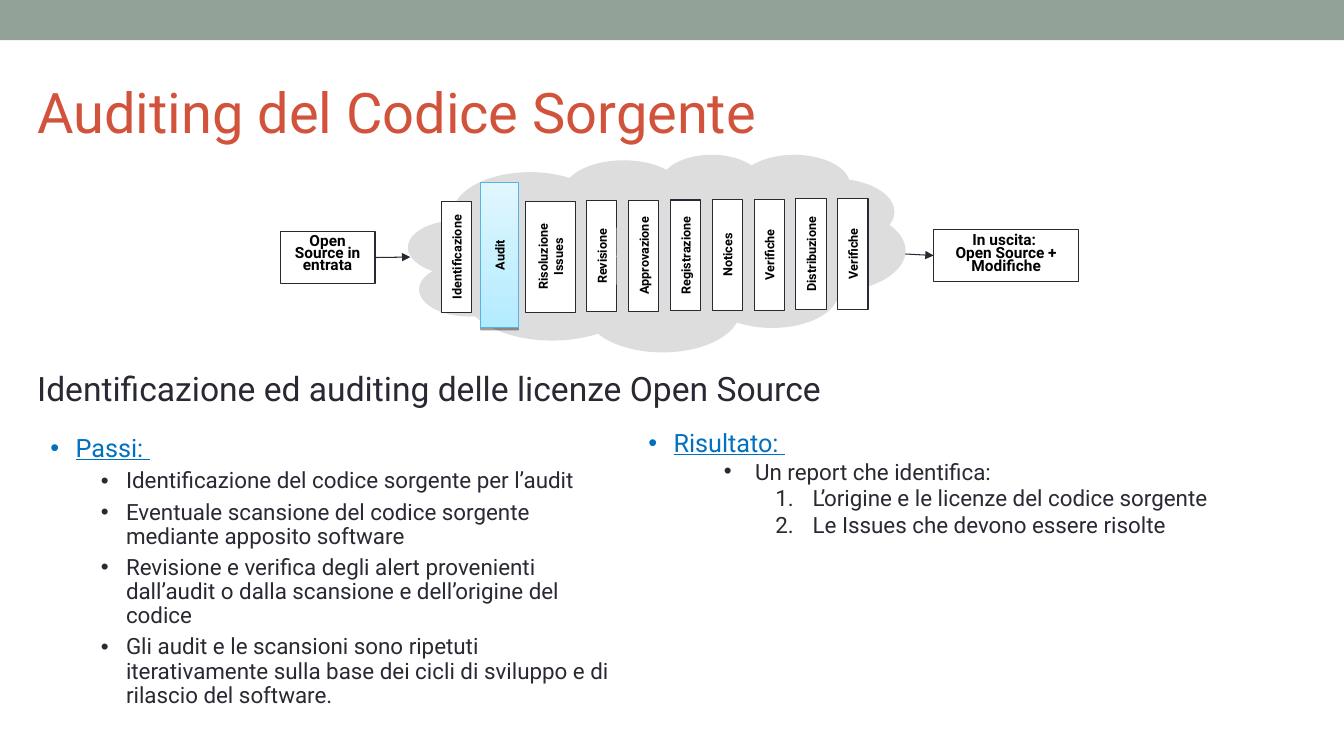
from lxml.etree import SubElement
from pptx import Presentation
from pptx.dml.color import RGBColor
from pptx.enum.shapes import MSO_CONNECTOR, MSO_SHAPE
from pptx.enum.text import MSO_ANCHOR, MSO_AUTO_SIZE, PP_ALIGN
from pptx.oxml.ns import qn
from pptx.util import Inches, Pt

INK, BLUE, BLACK, WHITE = "292934", "0070C0", "000000", "FFFFFF"
HEAD = {"size": Pt(18), "underline": True}
ITEM = {"size": Pt(16), "underline": False}
TAG = {"size": Pt(9), "bold": True}
PORT = {"size": Pt(11), "bold": True}


def color(value):
    return RGBColor.from_string(value)


def put(item, values):
    for name, value in values.items():
        setattr(item, name, value)


def node(parent, tag, **attrs):
    return SubElement(parent, qn(tag), attrs)


def setup(frame, anchor=MSO_ANCHOR.TOP):
    put(frame, {"word_wrap": True, "auto_size": MSO_AUTO_SIZE.NONE,
                "vertical_anchor": anchor,
                "margin_left": Inches(0.1), "margin_right": Inches(0.1),
                "margin_top": Inches(0.05), "margin_bottom": Inches(0.05)})


def write(para, text, tint, style, **layout):
    run = para.add_run()
    run.text = text
    put(run.font, {"name": "Roboto", **style})
    run.font.color.rgb = color(tint)
    put(para, layout)


def place(item, box):
    put(item, dict(zip(("left", "top", "width", "height"), map(Inches, box))))


def block(slide, box, fill, line=None, kind=MSO_SHAPE.RECTANGLE):
    shape = slide.shapes.add_shape(kind, *map(Inches, box))
    shape.shadow.inherit = False
    if fill:
        shape.fill.solid()
        shape.fill.fore_color.rgb = color(fill)
    if line:
        shape.line.color.rgb = color(line)
        shape.line.width = Pt(0.75)
    else:
        shape.line.fill.background()
    return shape


def title(slide, box):
    item = slide.shapes.title
    place(item, box)
    setup(item.text_frame, MSO_ANCHOR.MIDDLE)
    write(item.text_frame.paragraphs[0], "Auditing del Codice Sorgente", "D2533C",
          {"size": Pt(40)}, alignment=PP_ALIGN.LEFT)


def lead(slide, box):
    item = slide.shapes.add_textbox(*map(Inches, box))
    setup(item.text_frame)
    write(item.text_frame.paragraphs[0],
          "Identificazione ed auditing delle licenze Open Source", INK, {"size": Pt(24)})


def bullets(item, box, rows):
    place(item, box)
    frame = item.text_frame
    setup(frame)
    for i, (text, level, left, hang, mark, lines, before) in enumerate(rows):
        para = frame.paragraphs[0] if i == 0 else frame.add_paragraph()
        props = para._p.get_or_add_pPr()
        props.set("marL", str(Inches(left)))
        props.set("indent", str(-Inches(hang)))
        if mark == "1.":
            node(props, "a:buFont", typeface="+mj-lt")
            node(props, "a:buAutoNum", type="arabicPeriod")
        else:
            node(props, "a:buFont", typeface="Arial")
            node(props, "a:buChar", char=mark)
        write(para, text, INK if i else BLUE, ITEM if i else HEAD, level=level,
              line_spacing=lines, space_before=Pt(before), alignment=PP_ALIGN.LEFT)


def stage(slide, mid, row, name, thick):
    long = 1.1
    shape = block(slide, (mid - long / 2, row - thick / 2, long, thick), WHITE, INK)
    shape.rotation = 270
    setup(shape.text_frame, MSO_ANCHOR.MIDDLE)
    write(shape.text_frame.paragraphs[0], name, BLACK, TAG, alignment=PP_ALIGN.CENTER)


def audit(slide, box):
    x, y, wide, high = box
    shape = block(slide, box, None, "55B4E5")
    shape.fill.gradient()
    shape.fill.gradient_angle = 270
    for stop, tint in zip(shape.fill.gradient_stops, ("E0F7FF", "B4EBFF")):
        stop.color.rgb = color(tint)
    effects = shape._element.spPr.find(qn("a:effectLst"))
    shade = node(effects, "a:outerShdw", blurRad="0", dist=str(Pt(1.6)),
                 dir="5400000", rotWithShape="0")
    node(node(shade, "a:srgbClr", val=BLACK), "a:alpha", val="38000")
    label = slide.shapes.add_textbox(*map(Inches, (
        x + (wide - high) / 2, y + (high - wide) / 2, high, wide)))
    label.rotation = 270
    setup(label.text_frame, MSO_ANCHOR.MIDDLE)
    write(label.text_frame.paragraphs[0], "Audit", BLACK, TAG, alignment=PP_ALIGN.CENTER)


def port(slide, box, lines, space):
    shape = block(slide, box, WHITE, INK)
    setup(shape.text_frame)
    for i, text in enumerate(lines):
        para = shape.text_frame.add_paragraph() if i else shape.text_frame.paragraphs[0]
        write(para, text, BLACK, PORT, alignment=PP_ALIGN.CENTER, line_spacing=space)
    return shape


def arrow(slide, start, end):
    link = slide.shapes.add_connector(MSO_CONNECTOR.STRAIGHT, *map(Inches, start + end))
    link.line.color.rgb = color(INK)
    link.line.width = Pt(0.75)
    node(link.line._get_or_add_ln(), "a:tailEnd", type="triangle")
    node(link._element.spPr, "a:effectLst")
    return link


def flow(slide, box):
    x, y, wide, high = box
    cloud = block(slide, (x + 1.27, y, 4.93, high), "DDDDDD", kind=MSO_SHAPE.CLOUD_CALLOUT)
    cloud.adjustments[0], cloud.adjustments[1] = -0.246, 0.157
    stages = [("Identificazione", 1.75, 0.3), ("Risoluzione Issues", 2.68, 0.5)]
    names = ("Revisione", "Approvazione", "Registrazione", "Notices",
             "Verifiche", "Distribuzione", "Verifiche")
    stages += [(name, 3.19 + 0.415 * i, 0.3) for i, name in enumerate(names)]
    for i, (name, mid, thick) in enumerate(stages):
        stage(slide, x + mid, y + 1.02 - 0.004 * i, name, thick)
    audit(slide, (x + 1.99, y + 0.28, 0.37, 1.44))
    source = port(slide, (x, y + 0.77, 0.94, 0.51), ("Open", "Source in entrata"), 0.65)
    target = port(slide, (x + wide - 1.44, y + 0.75, 1.44, 0.51),
                  ("In uscita: ", "Open Source + Modifiche"), 0.7)
    arrow(slide, (x + 0.94, y + 1.02), (x + 1.29, y + 1.02)).begin_connect(source, 3)
    arrow(slide, (x + 6.2, y + 0.99), (x + 6.48, y + 1)).end_connect(target, 1)


def main():
    deck = Presentation()
    deck.slide_width, deck.slide_height = Inches(13.33), Inches(7.5)
    slide = deck.slides.add_slide(deck.slide_layouts[3])
    block(slide, (0, 0, 13.33, 0.4), "93A299")
    title(slide, (0.27, 0.56, 12, 1.08))
    flow(slide, (2.78, 1.53, 7.92, 1.96))
    lead(slide, (0.27, 3.6, 9.92, 0.5))
    steps = ("Identificazione del codice sorgente per l’audit",
             "Eventuale scansione del codice sorgente mediante apposito software",
             "Revisione e verifica degli alert provenienti dall’audit o dalla scansione "
             "e dell’origine del codice",
             "Gli audit e le scansioni sono ripetuti iterativamente sulla base dei cicli "
             "di sviluppo e di rilascio del software.")
    issues = ("L’origine e le licenze del codice sorgente",
              "Le Issues che devono essere risolte")
    bullets(slide.placeholders[1], (0.4, 4.27, 5.8, 2.86),
            [("Passi: ", 0, 0.25, 0.25, "•", 0.9, 0)]
            + [(text, 1, 0.75, 0.25, "•", 0.9, 5) for text in steps])
    bullets(slide.placeholders[2], (6.33, 4.22, 6.32, 2.52),
            [("Risultato: ", 0, 0.25, 0.25, "•", 0.9, 0),
             ("Un report che identifica:", 0, 1.06, 0.31, "•", 1.0, 0)]
            + [(text, 1, 1.63, 0.37, "1.", 1.0, 0) for text in issues])
    deck.save("out.pptx")


if __name__ == "__main__":
    main()
